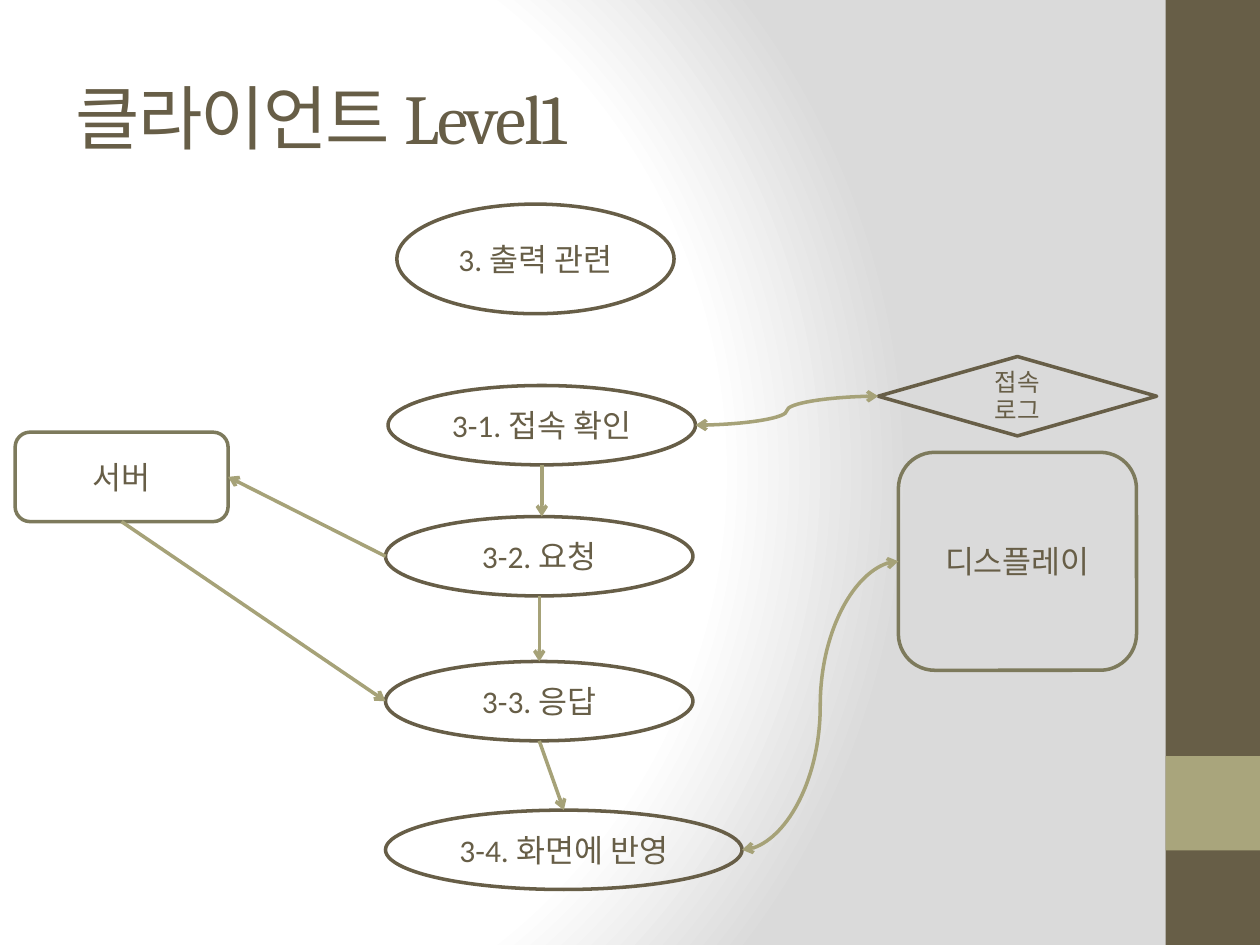
from lxml import etree
from pptx import Presentation
from pptx.dml.color import RGBColor
from pptx.enum import shapes as sh, text as tx
from pptx.oxml import parse_xml
from pptx.oxml.ns import qn
from pptx.util import Inches, Pt

# Content
TITLE = "클라이언트 Level1"
NODES = {  # name: (kind, left, top, width, height, lines)
    "out": ("oval", 3.15, 1.62, 2.2, 0.87, ["3. 출력 관련"]),
    "check": ("oval", 3.08, 3.06, 2.44, 0.63, ["3-1. 접속 확인"]),
    "ask": ("oval", 3.06, 4.1, 2.44, 0.63, ["3-2. 요청"]),
    "reply": ("oval", 3.06, 5.25, 2.44, 0.63, ["3-3. 응답"]),
    "show": ("oval", 3.06, 6.43, 2.83, 0.63, ["3-4. 화면에 반영"]),
    "server": ("box", 0.12, 3.43, 1.69, 0.71, ["서버"]),
    "screen": ("box", 7.13, 3.59, 1.89, 1.73, ["디스플레이"]),
    "log": ("diamond", 6.97, 2.83, 2.21, 0.63, ["접속", "로그"]),
}
TOP, LEFT, BOTTOM, RIGHT = range(4)
LINKS = [  # (from, side, to, side, curved with two heads)
    ("check", BOTTOM, "ask", TOP, False),
    ("ask", LEFT, "server", RIGHT, False),
    ("server", BOTTOM, "reply", LEFT, False),
    ("ask", BOTTOM, "reply", TOP, False),
    ("reply", BOTTOM, "show", TOP, False),
    ("check", RIGHT, "log", LEFT, True),
    ("show", RIGHT, "screen", LEFT, True),
]
BANDS = [(0, 7.5, "dark"), (6, 0.75, "light")]  # top, height, colour

THEME = {
    "dark": "675E47", "light": "A9A57C", "box": "7D7A5C", "link": "A6A278",
    "head": "Cambria", "body": "Calibri",
    "title": Pt(40), "text": Pt(18), "small": Pt(14), "lead": Pt(16),
    "line": Pt(2),
}
FADE = [(0, "FFFFFF"), (75, "FFFFFF"), (100, "DADADA")]
KINDS = {  # kind: (form, line colour, type size)
    "oval": (sh.MSO_SHAPE.OVAL, "dark", "text"),
    "box": (sh.MSO_SHAPE.ROUNDED_RECTANGLE, "box", "text"),
    "diamond": (sh.MSO_SHAPE.DIAMOND, "dark", "small"),
}


def color(name):
    return RGBColor.from_string(THEME[name])


def write(par, words, font, size):
    run = par.add_run()
    run.text = words
    run.font.name = THEME[font]
    run.font.size = THEME[size]
    run.font.color.rgb = color("dark")
    return run


def paint(slide):
    stops = "".join(f'<a:gs pos="{pos * 1000}"><a:srgbClr val="{rgb}"/></a:gs>'
                    for pos, rgb in FADE)
    grad = parse_xml(
        '<a:gradFill xmlns:a="http://schemas.openxmlformats.org/drawingml/2006/main"'
        f' rotWithShape="1"><a:gsLst>{stops}</a:gsLst><a:path path="circle">'
        '<a:fillToRect l="20000" t="50000" r="100000" b="50000"/></a:path></a:gradFill>')
    fill = slide.background.fill
    fill.solid()
    old = slide._element.find(".//" + qn("p:bgPr") + "/" + qn("a:solidFill"))
    old.getparent().replace(old, grad)


def add_node(slide, kind, left, top, width, height, lines):
    form, tint, size = KINDS[kind]
    node = slide.shapes.add_shape(form, *map(Inches, (left, top, width, height)))
    node.shadow.inherit = False
    node.fill.background()
    node.line.color.rgb = color(tint)
    node.line.width = THEME["line"]
    frame = node.text_frame
    frame.word_wrap = True
    frame.vertical_anchor = tx.MSO_ANCHOR.MIDDLE
    if len(lines) > 1:
        frame.margin_top = frame.margin_bottom = 0
    for i, words in enumerate(lines):
        par = frame.add_paragraph() if i else frame.paragraphs[0]
        par.alignment = tx.PP_ALIGN.CENTER
        if len(lines) > 1:
            par.line_spacing = THEME["lead"]
        write(par, words, "body", size)
    return node


def port(name, side):
    _, left, top, width, height, _ = NODES[name]
    fx, fy = [(0.5, 0), (0, 0.5), (0.5, 1), (1, 0.5)][side]
    return Inches(left + width * fx), Inches(top + height * fy)


def add_link(slide, nodes, start, out, end, into, curved):
    form = sh.MSO_CONNECTOR.CURVE if curved else sh.MSO_CONNECTOR.STRAIGHT
    (x1, y1), (x2, y2) = port(start, out), port(end, into)
    # Nearly aligned nodes get an upright arrow
    if abs(x2 - x1) < Inches(0.05):
        x2 = x1
    link = slide.shapes.add_connector(form, x1, y1, x2, y2)
    # Ovals number their sides differently, so only the others are joined
    if NODES[start][0] != "oval":
        link.begin_connect(nodes[start], out)
    if NODES[end][0] != "oval":
        link.end_connect(nodes[end], into)
    link.line.color.rgb = color("link")
    link.line.width = THEME["line"]
    props = link._element.spPr
    for tip in ["headEnd", "tailEnd"] if curved else ["tailEnd"]:
        etree.SubElement(props.find(qn("a:ln")), qn("a:" + tip), type="arrow")
    etree.SubElement(props, qn("a:effectLst"))


def main():
    prs = Presentation()
    prs.slide_width, prs.slide_height = Inches(10), Inches(7.5)
    slide = prs.slides.add_slide(prs.slide_layouts[5])
    paint(slide)

    # Side bands
    for top, height, tint in BANDS:
        band = slide.shapes.add_shape(sh.MSO_SHAPE.RECTANGLE, Inches(9.25),
                                      Inches(top), Inches(0.75), Inches(height))
        band.shadow.inherit = False
        band.fill.solid()
        band.fill.fore_color.rgb = color(tint)
        band.line.fill.background()

    # Title
    title = slide.shapes.title
    title.left, title.top = Inches(0.5), Inches(0.3)
    title.width, title.height = Inches(8.33), Inches(1.25)
    title.text_frame.vertical_anchor = tx.MSO_ANCHOR.MIDDLE
    par = title.text_frame.paragraphs[0]
    par.alignment = tx.PP_ALIGN.LEFT
    run = write(par, TITLE, "head", "title")
    run.font._element.set("spc", "-100")

    # Diagram
    nodes = {name: add_node(slide, *spec) for name, spec in NODES.items()}
    for link in LINKS:
        add_link(slide, nodes, *link)

    prs.save("out.pptx")


if __name__ == "__main__":
    main()
